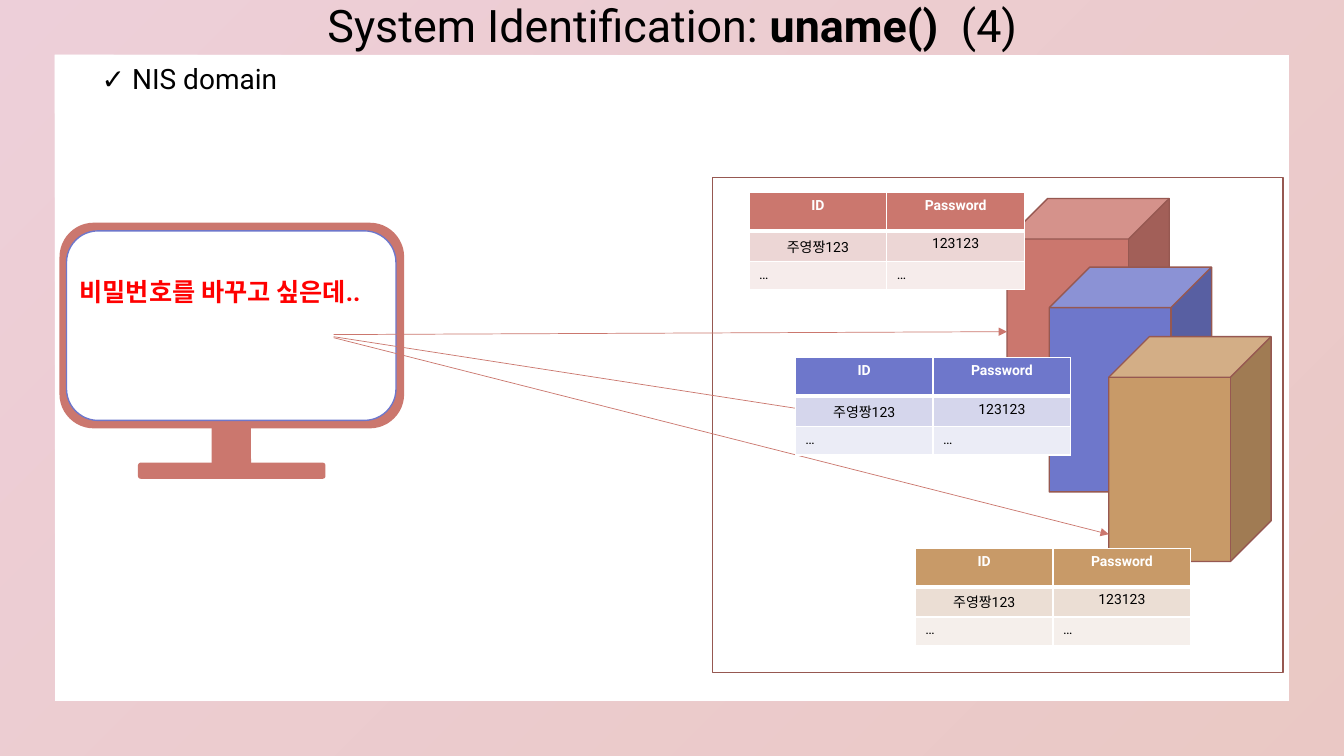
"""Build the NIS domain slide: one client and three servers with account tables."""
from dataclasses import dataclass

from lxml import etree
from pptx import Presentation
from pptx.dml.color import RGBColor
from pptx.enum import shapes, text
from pptx.oxml import ns
from pptx.util import Pt


@dataclass(frozen=True)
class Theme:
    white: str = "FFFFFF"
    black: str = "000000"
    alert: str = "FF0000"
    pink: str = "D488A0"
    coral: str = "CB776E"
    indigo: str = "6E77CB"
    tan: str = "C89A68"
    outline: str = "965851"
    font: str = "Roboto"
    title_size: int = 32
    topic_size: int = 20
    thought_size: int = 18
    table_size: int = 10


theme = Theme()
rgb = RGBColor.from_string
forms = shapes.MSO_SHAPE

deck = Presentation()
deck.slide_width, deck.slide_height = Pt(960), Pt(540)
slide = deck.slides.add_slide(deck.slide_layouts[6])


def add_part(form, place, fill=None, line=None):
    part = slide.shapes.add_shape(form, *map(Pt, place))
    part.shadow.inherit = False
    if fill:
        part.fill.solid()
        part.fill.fore_color.rgb = rgb(fill)
    if line:
        part.line.color.rgb = rgb(line)
        part.line.width = Pt(1)
    else:
        part.line.fill.background()
    return part


def add_run(paragraph, words, size, color, bold=False):
    run = paragraph.add_run()
    run.text = words
    look = {"name": theme.font, "size": Pt(size), "bold": bold}
    for key, value in look.items():
        setattr(run.font, key, value)
    run.font.color.rgb = rgb(color)


border = add_part(forms.FRAME, (0, 0, 960, 540))
border.adjustments[0] = 0.072
border.fill.gradient()
border.fill.gradient_angle = 315
for stop, color in zip(border.fill.gradient_stops, (theme.pink, theme.coral)):
    stop.color.rgb = rgb(color)
for tint in border.element.spPr.iter(ns.qn("a:srgbClr")):
    etree.SubElement(tint, ns.qn("a:alpha"), val="40000")

add_part(forms.RECTANGLE, (509, 126.9, 407.5, 353.5), theme.white, theme.outline)

monitor = [
    ((151.2, 300.2, 28.1, 35.3), theme.coral, None),
    ((42.5, 159.1, 246.2, 146.9), theme.coral, None),
    ((47.5, 164.9, 235.4, 135.4), theme.white, theme.indigo),
    ((98.6, 330.5, 133.9, 11.5), theme.coral, None),
]
for place, fill, line in monitor:
    add_part(forms.ROUNDED_RECTANGLE, place, fill, line)

servers = [
    (719.3, 141.8, theme.coral),
    (749.5, 190.8, theme.indigo),
    (792, 240.5, theme.tan),
]
for left, top, color in servers:
    add_part(forms.CUBE, (left, top, 115.9, 160.6), color, theme.outline)

requests = [
    (238.3, 239, 719.3, 236.9),
    (238.3, 240.5, 749.5, 319.7),
    (238.3, 241.2, 792, 381.6),
]
for ends in requests:
    request = slide.shapes.add_connector(shapes.MSO_CONNECTOR.STRAIGHT, *map(Pt, ends))
    request.line.color.rgb = rgb(theme.coral)
    request.line.width = Pt(0.5)
    etree.SubElement(request.line._get_or_add_ln(), ns.qn("a:tailEnd"), type="triangle")
    etree.SubElement(request.element.spPr, ns.qn("a:effectLst"))

accounts = [("ID", "Password"), ("주영짱123", "123123"), ("…", "…")]
account_tables = [
    (535, 137.5, (theme.coral, "ECD6D5", "F6ECEB")),
    (568.1, 255.6, (theme.indigo, "D5D6EC", "EBECF6")),
    (653.8, 391.7, (theme.tan, "EBDED4", "F5EFEB")),
]
row_heights = (27.4, 20.4, 20.4)
for left, top, fills in account_tables:
    grid = slide.shapes.add_table(
        3, 2, Pt(left), Pt(top), Pt(196.8), Pt(sum(row_heights))
    ).table
    grid.first_row = grid.horz_banding = False
    for column in grid.columns:
        column.width = Pt(98.4)
    for row, (entries, fill, height) in enumerate(zip(accounts, fills, row_heights)):
        grid.rows[row].height = Pt(height)
        for column, entry in enumerate(entries):
            cell = grid.cell(row, column)
            edges = {"L": 1, "R": 1, "T": 3 if row == 1 else 1, "B": 3 if row == 0 else 1}
            for side, weight in edges.items():
                edge = etree.SubElement(
                    cell._tc.get_or_add_tcPr(), ns.qn(f"a:ln{side}"), w=str(Pt(weight))
                )
                paint = etree.SubElement(edge, ns.qn("a:solidFill"))
                etree.SubElement(paint, ns.qn("a:srgbClr"), val=theme.white)
            cell.fill.solid()
            cell.fill.fore_color.rgb = rgb(fill)
            paragraph = cell.text_frame.paragraphs[0]
            paragraph.alignment = text.PP_ALIGN.LEFT if row == 2 else text.PP_ALIGN.CENTER
            ink = theme.white if row == 0 else theme.black
            add_run(paragraph, entry, theme.table_size, ink, row == 0)

labels = [
    ((49.7, 193.7, 238.3, 28.8), True, text.PP_ALIGN.LEFT, theme.thought_size, theme.alert,
     [("비밀번호를 바꾸고 싶은데..", True)]),
    ((186.5, -5, 587.5, 46.1), True, text.PP_ALIGN.CENTER, theme.title_size, theme.black,
     [("System Identification: ", False), ("uname()  ", True), ("(4)", False)]),
    ((65.5, 40.3, 142.6, 31.7), False, text.PP_ALIGN.LEFT, theme.topic_size, theme.black,
     [("✓ NIS domain", False)]),
]
for place, wrap, alignment, size, color, pieces in labels:
    frame = slide.shapes.add_textbox(*map(Pt, place)).text_frame
    layout = {"word_wrap": wrap, "auto_size": text.MSO_AUTO_SIZE.SHAPE_TO_FIT_TEXT}
    for key, value in layout.items():
        setattr(frame, key, value)
    frame.paragraphs[0].alignment = alignment
    for words, bold in pieces:
        add_run(frame.paragraphs[0], words, size, color, bold)

deck.save("out.pptx")
